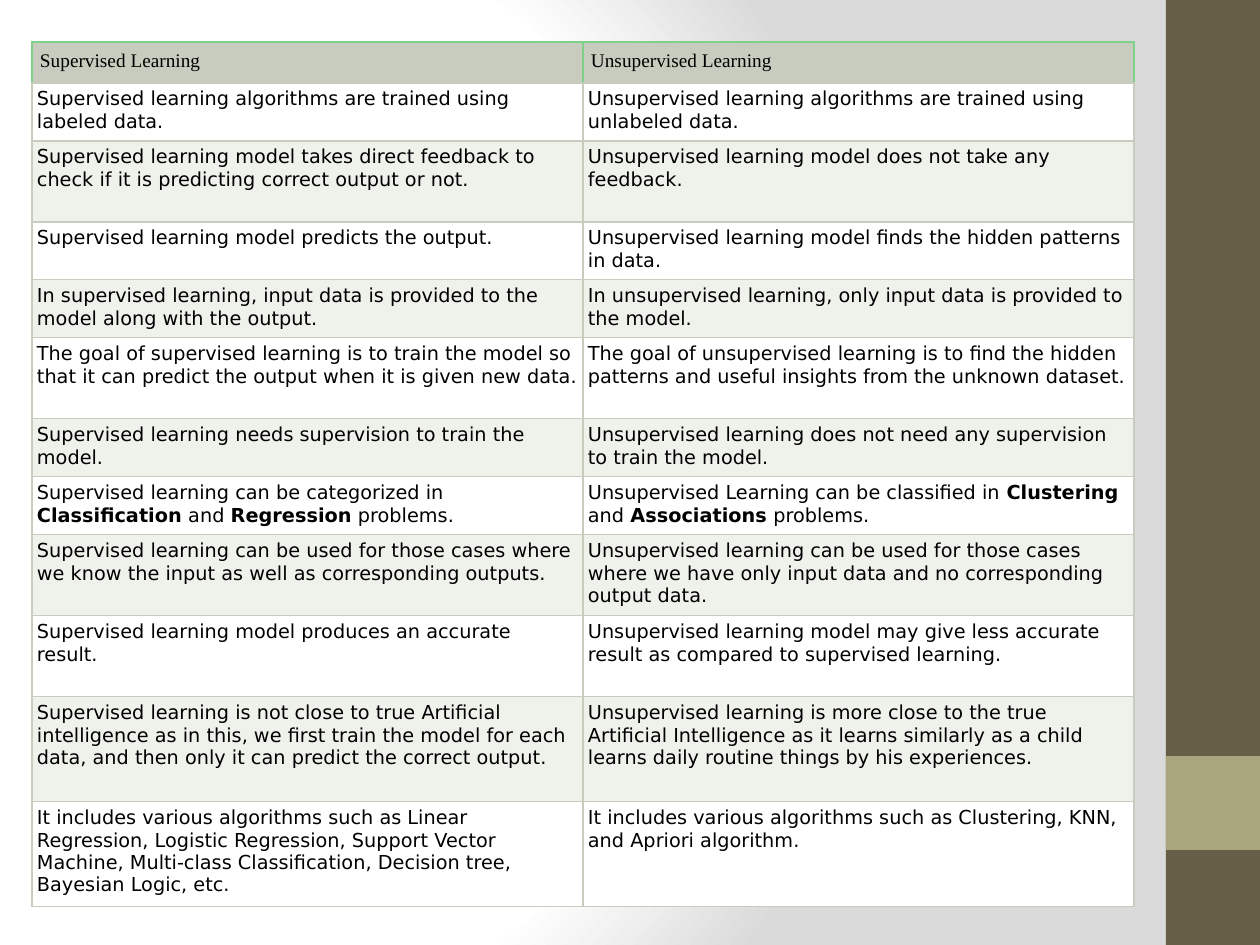
from dataclasses import dataclass
from pptx import Presentation, util as u
from pptx.dml.color import RGBColor
from pptx.enum import shapes
from pptx.oxml import parse_xml
from pptx.oxml.ns import nsdecls, qn

HEADINGS = ("Supervised Learning", "Unsupervised Learning")
# (row height in px, supervised, unsupervised); ** encloses bold words
COMPARISONS = [
    (58, "Supervised learning algorithms are trained using labeled data.",
     "Unsupervised learning algorithms are trained using unlabeled data."),
    (81, "Supervised learning model takes direct feedback to check if it is predicting "
         "correct output or not.",
     "Unsupervised learning model does not take any feedback."),
    (58, "Supervised learning model predicts the output.",
     "Unsupervised learning model finds the hidden patterns in data."),
    (58, "In supervised learning, input data is provided to the model along with the output.",
     "In unsupervised learning, only input data is provided to the model."),
    (81, "The goal of supervised learning is to train the model so that it can predict "
         "the output when it is given new data.",
     "The goal of unsupervised learning is to find the hidden patterns and useful "
     "insights from the unknown dataset."),
    (58, "Supervised learning needs supervision to train the model.",
     "Unsupervised learning does not need any supervision to train the model."),
    (58, "Supervised learning can be categorized in **Classification** and "
         "**Regression** problems.",
     "Unsupervised Learning can be classified in **Clustering** and "
     "**Associations** problems."),
    (81, "Supervised learning can be used for those cases where we know the input as "
         "well as corresponding outputs.",
     "Unsupervised learning can be used for those cases where we have only input data "
     "and no corresponding output data."),
    (81, "Supervised learning model produces an accurate result.",
     "Unsupervised learning model may give less accurate result as compared to "
     "supervised learning."),
    (105, "Supervised learning is not close to true Artificial intelligence as in this, "
          "we first train the model for each data, and then only it can predict the "
          "correct output.",
     "Unsupervised learning is more close to the true Artificial Intelligence as it "
     "learns similarly as a child learns daily routine things by his experiences."),
    (105, "It includes various algorithms such as Linear Regression, Logistic Regression, "
          "Support Vector Machine, Multi-class Classification, Decision tree, Bayesian "
          "Logic, etc.",
     "It includes various algorithms such as Clustering, KNN, and Apriori algorithm."),
]


@dataclass(frozen=True)
class Theme:
    backdrop: tuple = ((0, "FFFFFF"), (75, "FFFFFF"), (100, "DADADA"))
    sidebar: str = "675E47"
    accent: str = "A9A57C"
    grid: str = "C7CCBE"
    header_line: str = "80D08B"
    bands: tuple = ("FFFFFF", "EFF1EB")
    ink: str = "000000"
    header_font: str = "Times New Roman"
    body_font: str = "DejaVu Sans"
    size: int = 11
    line: float = 0.75


THEME = Theme()
SLIDE_WIDTH, SLIDE_HEIGHT = 1260, 945
SIDEBAR_LEFT, SIDEBAR_WIDTH = 1166, 94
ACCENT_TOP, ACCENT_HEIGHT = 756, 94
TABLE_LEFT, TABLE_TOP, COLUMN_WIDTH, HEADER_HEIGHT = 32, 42, 551, 41
HEADER_INSET, BODY_INSET = 8, 5


def px(length):
    return u.Emu(length * 914400 // 126)


def paint_background(slide):
    slide.background.fill.gradient()
    gradient = slide.element.find(".//" + qn("a:gradFill"))
    stops = "".join(f'<a:gs pos="{position * 1000}"><a:srgbClr val="{color}"/></a:gs>'
                    for position, color in THEME.backdrop)
    gradient.getparent().replace(gradient, parse_xml(
        f'<a:gradFill {nsdecls("a")} rotWithShape="1"><a:gsLst>{stops}</a:gsLst>'
        '<a:path path="circle"><a:fillToRect l="20000" t="50000" r="100000" b="50000"/>'
        '</a:path></a:gradFill>'))


def add_block(slide, top, height, color):
    shape = slide.shapes.add_shape(shapes.MSO_SHAPE.RECTANGLE, px(SIDEBAR_LEFT), px(top),
                                   px(SIDEBAR_WIDTH), px(height))
    shape.shadow.inherit = False
    shape.fill.solid()
    shape.fill.fore_color.rgb = RGBColor.from_string(color)
    shape.line.fill.background()


def set_borders(cell, colors):
    properties = cell._tc.get_or_add_tcPr()
    for side, color in zip("LRTB", colors):
        properties.append(parse_xml(
            f'<a:ln{side} {nsdecls("a")} w="{u.Pt(THEME.line)}"><a:solidFill>'
            f'<a:srgbClr val="{color}"/></a:solidFill></a:ln{side}>'))


def fill_cell(cell, content, fill, font_name, inset, borders):
    set_borders(cell, borders)
    cell.fill.solid()
    cell.fill.fore_color.rgb = RGBColor.from_string(fill)
    for side in ("left", "right", "top", "bottom"):
        setattr(cell, f"margin_{side}", px(inset))
    paragraph = cell.text_frame.paragraphs[0]
    for index, part in enumerate(content.split("**")):
        run = paragraph.add_run()
        run.text = part
        font_format = {"name": font_name, "size": u.Pt(THEME.size), "bold": index % 2 == 1}
        for name, value in font_format.items():
            setattr(run.font, name, value)
        run.font.color.rgb = RGBColor.from_string(THEME.ink)


def add_comparison(slide):
    rows = [(HEADER_HEIGHT, *HEADINGS), *COMPARISONS]
    heights = [row[0] for row in rows]
    table = slide.shapes.add_table(len(rows), len(HEADINGS), px(TABLE_LEFT), px(TABLE_TOP),
                                   px(COLUMN_WIDTH * len(HEADINGS)), px(sum(heights))).table
    table.first_row = table.horz_banding = False
    for column in table.columns:
        column.width = px(COLUMN_WIDTH)
    for row_index, (height, *contents) in enumerate(rows):
        table.rows[row_index].height = px(height)
        if row_index == 0:
            style = (THEME.grid, THEME.header_font, HEADER_INSET,
                     [THEME.header_line] * 3 + [THEME.grid])
        else:
            style = (THEME.bands[(row_index - 1) % 2], THEME.body_font, BODY_INSET,
                     [THEME.grid] * 4)
        for column_index, content in enumerate(contents):
            fill_cell(table.cell(row_index, column_index), content, *style)


def main():
    presentation = Presentation()
    presentation.slide_width, presentation.slide_height = px(SLIDE_WIDTH), px(SLIDE_HEIGHT)
    slide = presentation.slides.add_slide(presentation.slide_layouts[6])
    paint_background(slide)
    add_block(slide, 0, SLIDE_HEIGHT, THEME.sidebar)
    add_block(slide, ACCENT_TOP, ACCENT_HEIGHT, THEME.accent)
    add_comparison(slide)
    presentation.save("out.pptx")


if __name__ == "__main__":
    main()
